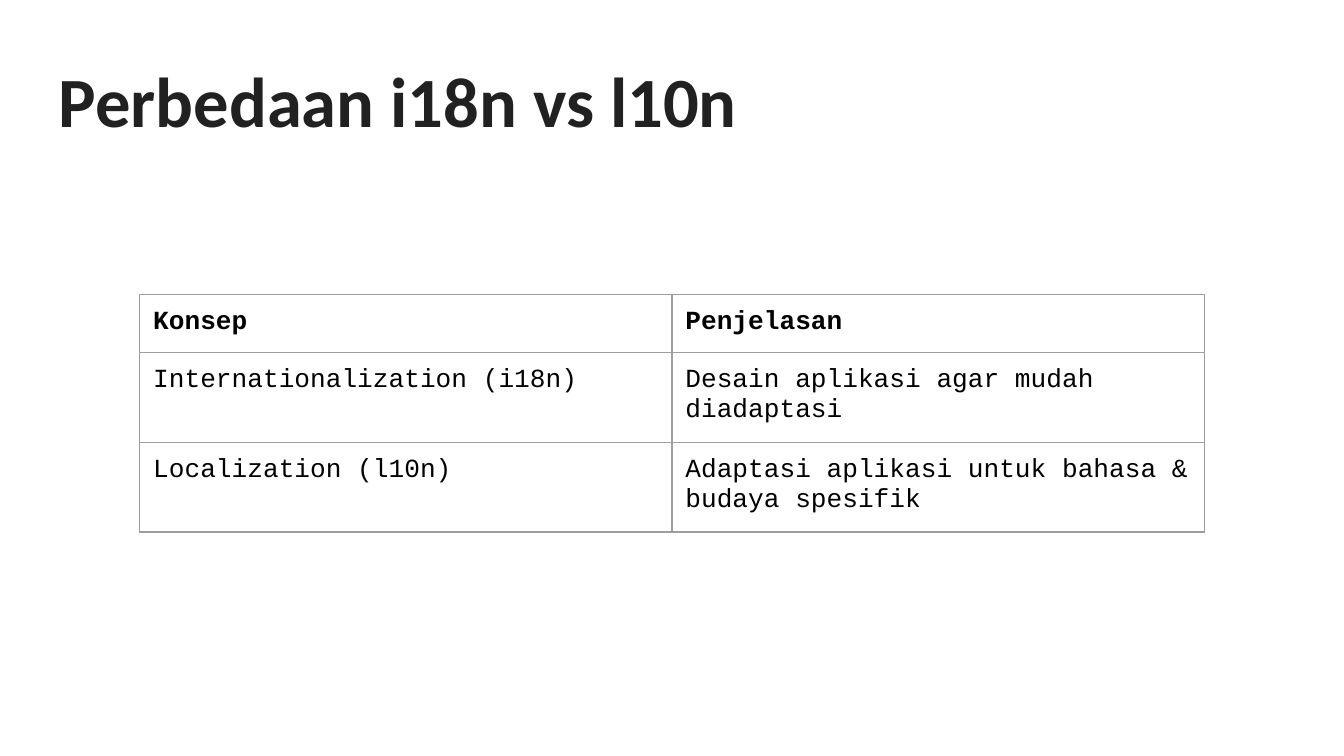
from lxml import etree
from pptx import Presentation
from pptx.dml.color import RGBColor
from pptx.enum.text import MSO_ANCHOR
from pptx.oxml.ns import qn
from pptx.util import Inches, Pt

COLORS = {"background": "FFFFFF", "title": "212121", "body": "000000", "border": "9E9E9E"}
INSET = Inches(0.1)
CONCEPTS = [
    ("Konsep", "Penjelasan"),
    ("Internationalization (i18n)", "Desain aplikasi agar mudah diadaptasi"),
    ("Localization (l10n)", "Adaptasi aplikasi untuk bahasa & budaya spesifik"),
]


def set_insets(box):
    box.margin_left = box.margin_right = box.margin_top = box.margin_bottom = INSET


def write(frame, text, font_name, size, color, bold):
    frame.text = text
    frame.word_wrap = True
    font = frame.paragraphs[0].runs[0].font
    font.name, font.size, font.bold = font_name, Pt(size), bold
    font.color.rgb = RGBColor.from_string(COLORS[color])


def add_border(cell):
    properties = cell._tc.get_or_add_tcPr()
    # Borders must come before the fill
    for index, side in enumerate(("lnL", "lnR", "lnT", "lnB")):
        line = etree.Element(qn(f"a:{side}"), w=str(Pt(0.75)))
        fill = etree.SubElement(line, qn("a:solidFill"))
        etree.SubElement(fill, qn("a:srgbClr"), val=COLORS["border"])
        properties.insert(index, line)


def add_title(slide, left, top, width, height):
    title = slide.shapes.add_textbox(
        Inches(left), Inches(top), Inches(width), Inches(height)).text_frame
    set_insets(title)
    title.vertical_anchor = MSO_ANCHOR.TOP
    write(title, "Perbedaan i18n vs l10n", "Calibri", 37.8, "title", True)


def add_concept_table(slide, left, top, width, row_height):
    table = slide.shapes.add_table(
        len(CONCEPTS), len(CONCEPTS[0]), Inches(left), Inches(top),
        Inches(width), Inches(row_height * len(CONCEPTS))).table
    table.horz_banding = False
    table.first_row = False
    # Rows with two lines of text grow from the common minimum height
    for row, texts in zip(table.rows, CONCEPTS):
        row.height = Inches(row_height)
        for cell, text in zip(row.cells, texts):
            set_insets(cell)
            cell.fill.background()
            add_border(cell)
            write(cell.text_frame, text, "Courier New", 14, "body", texts == CONCEPTS[0])


def main():
    deck = Presentation()
    # Widescreen, 16:9
    deck.slide_width = Inches(10)
    deck.slide_height = deck.slide_width * 9 // 16
    slide = deck.slides.add_slide(deck.slide_layouts[6])
    slide.background.fill.solid()
    slide.background.fill.fore_color.rgb = RGBColor.from_string(COLORS["background"])

    add_title(slide, 0.34, 0.32, 9.32, 0.88)
    add_concept_table(slide, 1.04, 2.19, 7.92, 0.42)
    deck.save("out.pptx")


if __name__ == "__main__":
    main()
